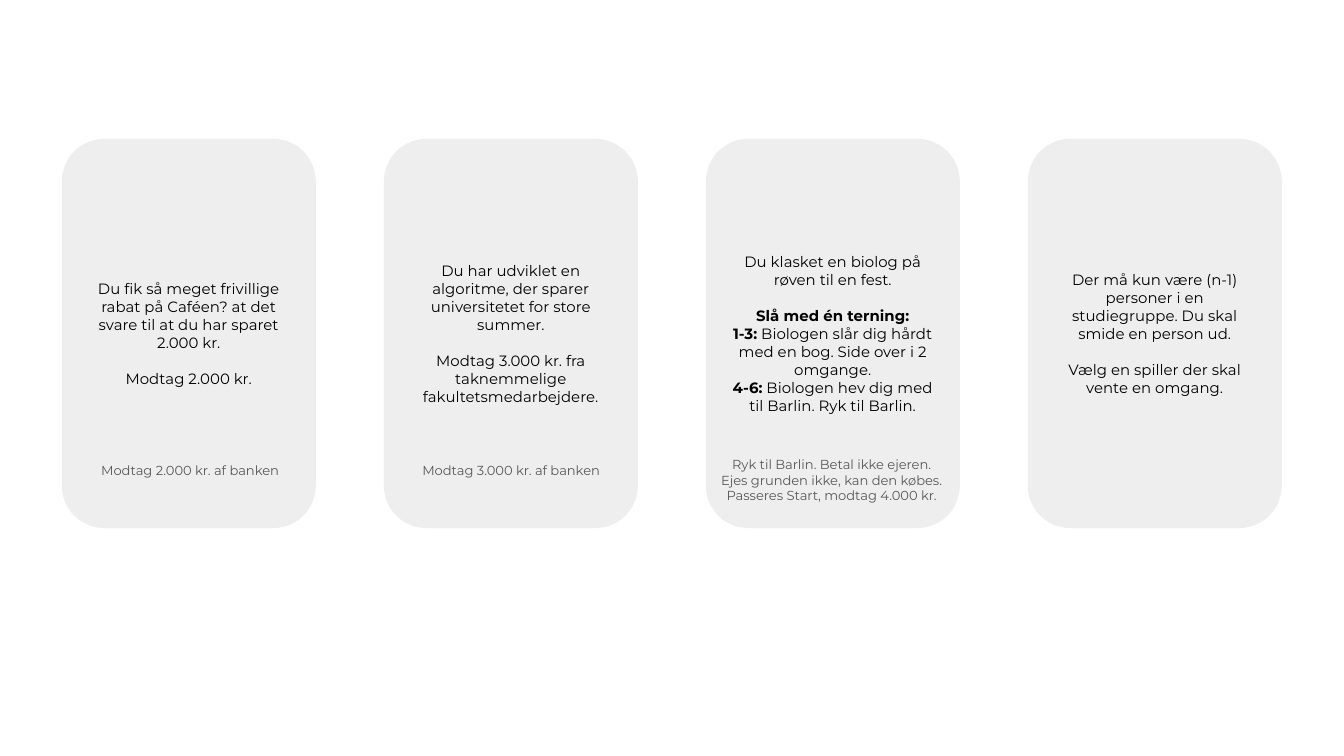
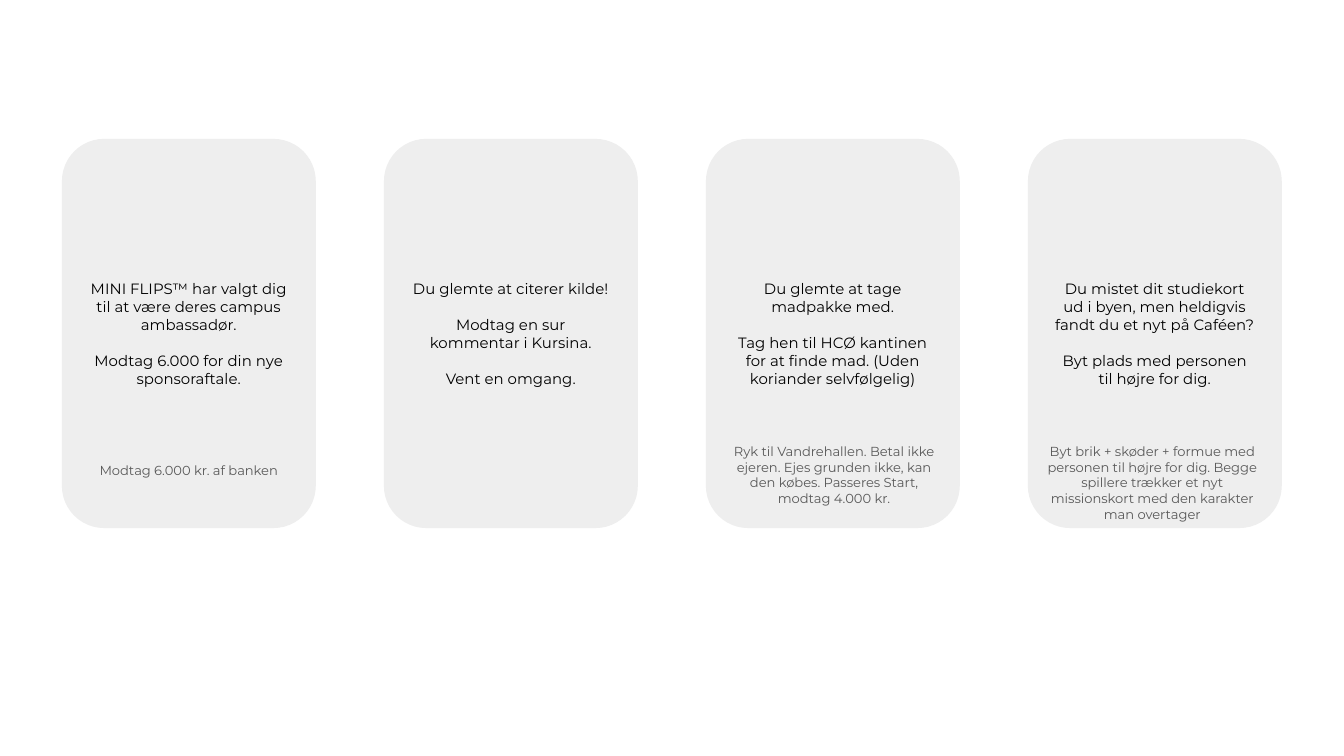
from dataclasses import dataclass

from pptx import Presentation
from pptx.dml.color import RGBColor
from pptx.enum.shapes import MSO_SHAPE as Shape
from pptx.enum.text import MSO_ANCHOR as Anchor, MSO_AUTO_SIZE as AutoSize, PP_ALIGN as Align
from pptx.util import Pt

COLOURS = {"page": "FFFFFF", "card": "EEEEEE", "body": "000000", "note": "595959"}
FONT = "Montserrat"
BODY_SIZE, NOTE_SIZE = 8, 7
PARAGRAPH_GAP = 9.75
INSET = 7.2
CARD_LEFT, CARD_TOP, CARD_PITCH = 33.2, 74.4, 172.5
CARD_WIDTH, CARD_HEIGHT = 136, 208.5
NOTE_WIDTH = 133.2


@dataclass(frozen=True)
class Line:
    text: str
    lead: str = ""
    gap: bool = False


@dataclass(frozen=True)
class Note:
    text: str
    shift: float
    top: float = 243.4
    height: float = 23


@dataclass(frozen=True)
class Card:
    lines: tuple[Line, ...]
    note: Note | None = None


SLIDES = (
    (
        Card(
            (
                Line("Du fik så meget frivillige rabat på Caféen? at det svare til at du har sparet 2.000 kr."),
                Line("Modtag 2.000 kr.", gap=True),
            ),
            Note("Modtag 2.000 kr. af banken", 2),
        ),
        Card(
            (
                Line("Du har udviklet en algoritme, der sparer universitetet for store summer."),
                Line("Modtag 3.000 kr. fra taknemmelige fakultetsmedarbejdere.", gap=True),
            ),
            Note("Modtag 3.000 kr. af banken", 1.5),
        ),
        Card(
            (
                Line("Du klasket en biolog på røven til en fest."),
                Line("", lead="Slå med én terning:", gap=True),
                Line(" Biologen slår dig hårdt med en bog. Side over i 2 omgange.", lead="1-3:"),
                Line(" Biologen hev dig med til Barlin. Ryk til Barlin.", lead="4-6:"),
            ),
            Note(
                "Ryk til Barlin. Betal ikke ejeren. Ejes grunden ikke, kan den købes. "
                "Passeres Start, modtag 4.000 kr.",
                0.7, 237.4, 48.2,
            ),
        ),
        Card(
            (
                Line("Der må kun være (n-1) personer i en studiegruppe. Du skal smide en person ud."),
                Line("Vælg en spiller der skal vente en omgang.", gap=True),
            ),
        ),
    ),
    (
        Card(
            (
                Line("MINI FLIPS™ har valgt dig til at være deres campus ambassadør."),
                Line("Modtag 6.000 for din nye sponsoraftale.", gap=True),
            ),
            Note("Modtag 6.000 kr. af banken", 1.3),
        ),
        Card(
            (
                Line("Du glemte at citerer kilde!"),
                Line("Modtag en sur kommentar i Kursina.", gap=True),
                Line("Vent en omgang.", gap=True),
            ),
        ),
        Card(
            (
                Line("Du glemte at tage madpakke med."),
                Line("Tag hen til HCØ kantinen for at finde mad. (Uden koriander selvfølgelig)", gap=True),
            ),
            Note(
                "Ryk til Vandrehallen. Betal ikke ejeren. Ejes grunden ikke, kan den købes. "
                "Passeres Start, modtag 4.000 kr.",
                2, 230.4, 48.2,
            ),
        ),
        Card(
            (
                Line("Du mistet dit studiekort ud i byen, men heldigvis fandt du et nyt på Caféen?"),
                Line("Byt plads med personen til højre for dig.", gap=True),
            ),
            Note(
                "Byt brik + skøder + formue med personen til højre for dig. Begge spillere "
                "trækker et nyt missionskort med den karakter man overtager",
                0, 230.4, 48.2,
            ),
        ),
    ),
)


def colour(name: str) -> RGBColor:
    return RGBColor.from_string(COLOURS[name])


def write_lines(box, lines: tuple[Line, ...], size: float, colour_name: str, anchor) -> None:
    frame = box.text_frame
    frame.word_wrap = True
    frame.vertical_anchor = anchor
    frame.margin_left = frame.margin_right = frame.margin_top = frame.margin_bottom = Pt(INSET)
    for index, line in enumerate(lines):
        para = frame.add_paragraph() if index else frame.paragraphs[0]
        para.alignment = Align.CENTER
        para.font.name = FONT
        para.font.size = Pt(size)
        para.font.color.rgb = colour(colour_name)
        if line.gap:
            para.space_before = Pt(PARAGRAPH_GAP)
        if line.lead:
            span = para.add_run()
            span.text = line.lead
            span.font.bold = True
        if line.text:
            para.add_run().text = line.text


def draw_card(page, card: Card, left: float) -> None:
    box = page.shapes.add_shape(
        Shape.ROUNDED_RECTANGLE, Pt(left), Pt(CARD_TOP), Pt(CARD_WIDTH), Pt(CARD_HEIGHT)
    )
    box.shadow.inherit = False
    box.fill.solid()
    box.fill.fore_color.rgb = colour("card")
    box.line.fill.background()
    write_lines(box, card.lines, BODY_SIZE, "body", Anchor.MIDDLE)


def draw_note(page, note: Note, left: float) -> None:
    box = page.shapes.add_textbox(
        Pt(left + note.shift), Pt(note.top), Pt(NOTE_WIDTH), Pt(note.height)
    )
    write_lines(box, (Line(note.text),), NOTE_SIZE, "note", Anchor.TOP)
    box.text_frame.auto_size = AutoSize.SHAPE_TO_FIT_TEXT


def draw_page(deck, cards: tuple[Card, ...]) -> None:
    page = deck.slides.add_slide(deck.slide_layouts[6])
    page.background.fill.solid()
    page.background.fill.fore_color.rgb = colour("page")
    for column, card in enumerate(cards):
        left = CARD_LEFT + column * CARD_PITCH
        draw_card(page, card, left)
        if card.note:
            draw_note(page, card.note, left)


def main() -> None:
    deck = Presentation()
    deck.slide_width, deck.slide_height = Pt(720), Pt(405)
    for cards in SLIDES:
        draw_page(deck, cards)
    deck.save("out.pptx")


if __name__ == "__main__":
    main()
